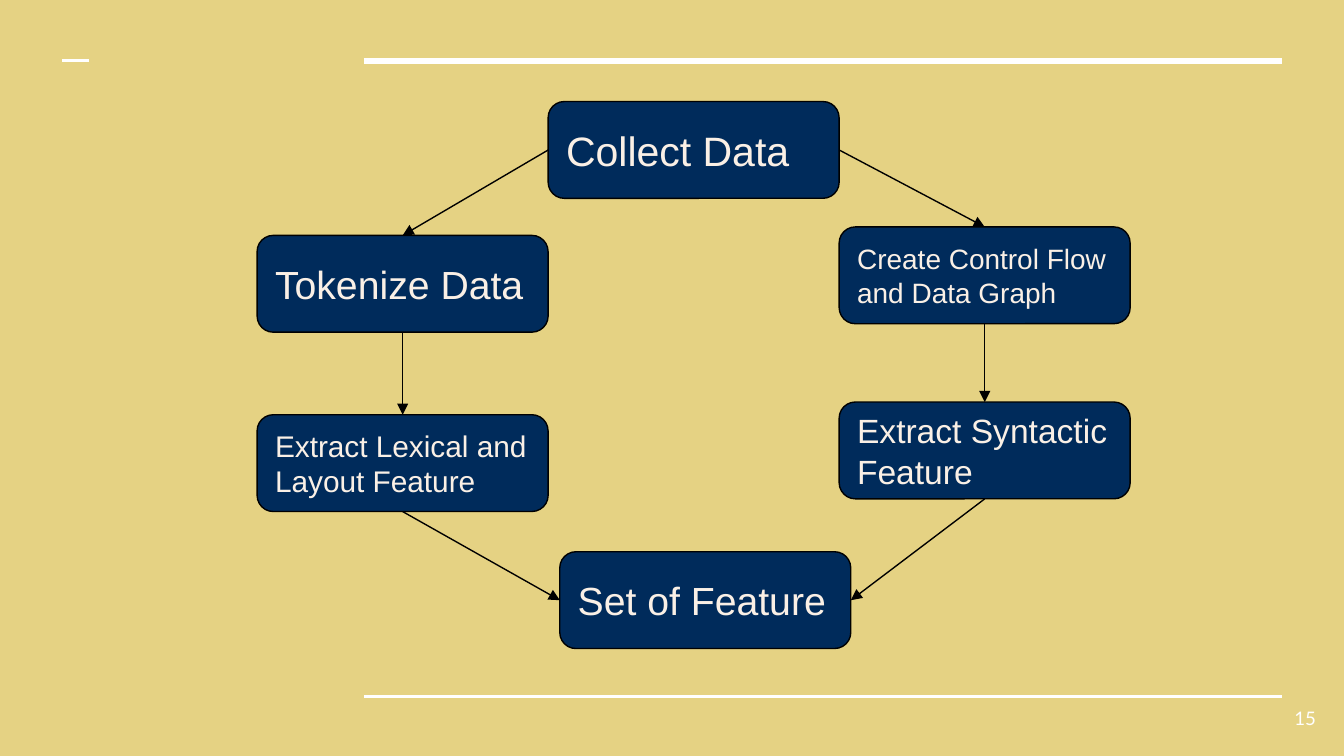
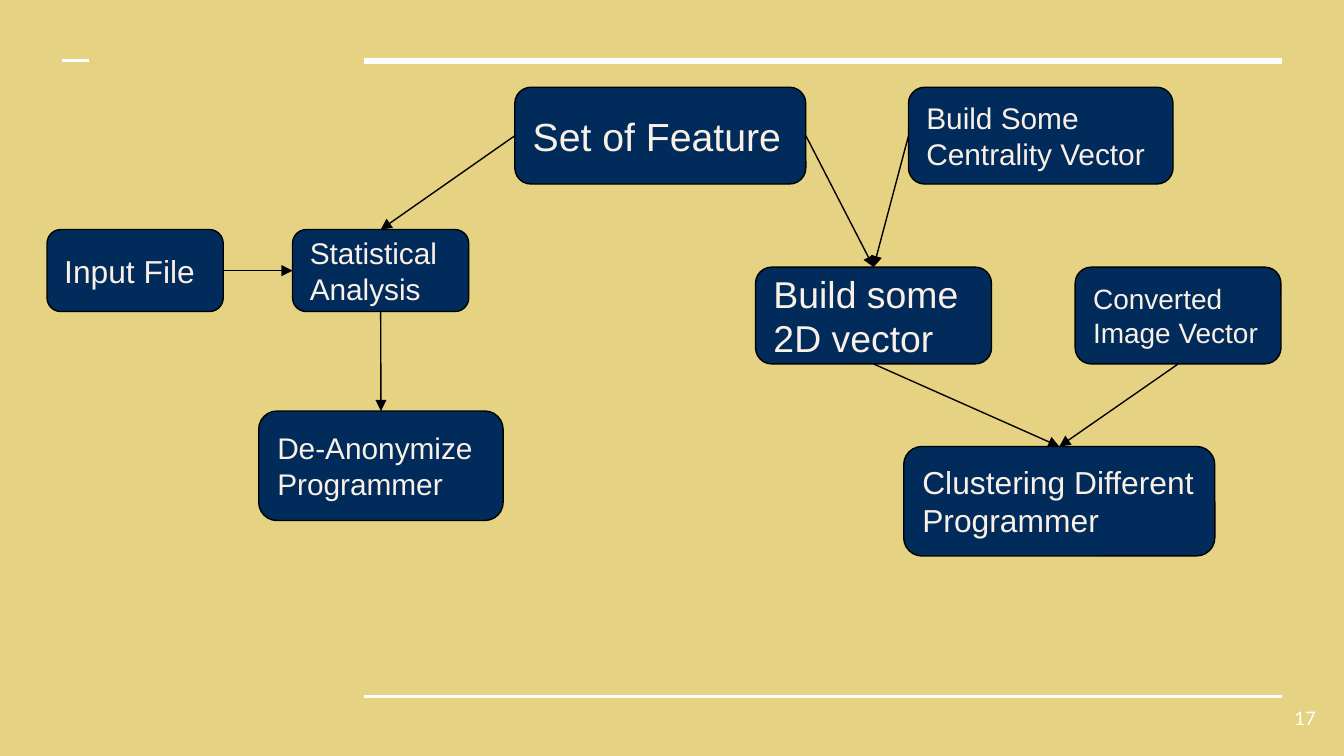
from lxml import etree
from pptx import Presentation
from pptx.dml.color import RGBColor
from pptx.enum.shapes import MSO_CONNECTOR, MSO_SHAPE
from pptx.enum.text import MSO_ANCHOR, PP_ALIGN
from pptx.oxml.ns import qn
from pptx.util import Cm, Pt

SAND = RGBColor(0xE5, 0xD2, 0x83)
NAVY = RGBColor(0x00, 0x2B, 0x5B)
LINEN = RGBColor(0xFA, 0xF0, 0xE6)
WHITE = RGBColor(0xFF, 0xFF, 0xFF)
BLACK = RGBColor(0x00, 0x00, 0x00)
STRAIGHT = MSO_CONNECTOR.STRAIGHT
ROUND = MSO_SHAPE.ROUNDED_RECTANGLE
MIDDLE = MSO_ANCHOR.MIDDLE
LEFT, RIGHT = PP_ALIGN.LEFT, PP_ALIGN.RIGHT
TOP, WEST, BOTTOM, EAST = range(4)

WIDE, HIGH = 25.4, 14.29
STEP_W, STEP_H = 5.5, 1.83
FILE_W, FILE_H = 3.33, 1.55
END_H = 2.07
EDGE = 0.75


def add_line(slide, color, width, start=(0, 0), end=(0, 0)):
    line = slide.shapes.add_connector(
        STRAIGHT, *(Cm(v) for v in (*start, *end)))
    line.line.color.rgb = color
    line.line.width = Pt(width)
    etree.SubElement(line._element.spPr, qn("a:effectLst"))
    return line


def add_text(shape, text, size, font, color, align):
    frame = shape.text_frame
    frame.word_wrap = True
    frame.vertical_anchor = MIDDLE
    frame.margin_left = frame.margin_right = Cm(0.25)
    frame.margin_top = frame.margin_bottom = Cm(0.25)
    para = frame.paragraphs[0]
    para.alignment = align
    run = para.add_run()
    run.text = text
    run.font.size = Pt(size)
    run.font.name = font
    run.font.color.rgb = color


def add_step(slide, box, text, size):
    step = slide.shapes.add_shape(ROUND, *(Cm(v) for v in box))
    step.shadow.inherit = False
    step.fill.solid()
    step.fill.fore_color.rgb = NAVY
    step.line.color.rgb = BLACK
    step.line.width = Pt(EDGE)
    add_text(step, text, size, "Arial", LINEN, LEFT)
    return step


def add_flow(slide, box, steps, links):
    left, top = box[:2]
    made = {}
    for name, (x, y, w, h, text, size) in steps.items():
        made[name] = add_step(slide, (left + x, top + y, w, h), text, size)
    for first, out, last, into in links:
        line = add_line(slide, BLACK, EDGE)
        line.begin_connect(made[first], out)
        line.end_connect(made[last], into)
        etree.SubElement(line.line._get_or_add_ln(), qn("a:tailEnd"),
                         type="triangle")


def add_frame(deck, page):
    slide = deck.slides.add_slide(deck.slide_layouts[6])
    fill = slide.background.fill
    fill.solid()
    fill.fore_color.rgb = SAND
    for x, end, y, width in ((6.88, 24.23, 1.15, 3),
                             (6.88, 24.23, 13.16, 1.5),
                             (1.18, 1.69, 1.15, 1.5)):
        add_line(slide, WHITE, width, (x, y), (end, y))
    label = slide.shapes.add_textbox(Cm(23.6), Cm(13.03), Cm(1.52), Cm(1.09))
    add_text(label, page, 10, "Lato", WHITE, RIGHT)
    return slide


def draw_features(slide, box):
    mid, far = box[2] / 3, box[2] * 2 / 3
    size = STEP_W, STEP_H
    steps = {
        "data": (mid, 0, *size, "Collect Data", 22),
        "token": (0, 2.53, *size, "Tokenize Data", 21),
        "graph": (far, 2.37, *size, "Create Control Flow and Data Graph", 15),
        "layout": (0, 5.92, *size, "Extract Lexical and Layout Feature", 16),
        "syntax": (far, 5.68, *size, "Extract Syntactic Feature", 18),
        "set": (mid + 0.22, box[3] - STEP_H, *size, "Set of Feature", 21),
    }
    links = (
        ("token", BOTTOM, "layout", TOP),
        ("graph", BOTTOM, "syntax", TOP),
        ("data", WEST, "token", TOP),
        ("data", EAST, "graph", TOP),
        ("layout", BOTTOM, "set", WEST),
        ("syntax", BOTTOM, "set", EAST),
    )
    add_flow(slide, box, steps, links)


def draw_vectors(slide, box):
    wide, high = box[2:]
    row, low = 2.69, 3.4
    file = FILE_W, FILE_H
    steps = {
        "set": (8.84, 0, STEP_W, STEP_H, "Set of Feature", 21),
        "input": (0, row, *file, "Input File", 17),
        "stats": (4.64, row, *file, "Statistical Analysis", 16),
        "center": (16.28, 0, 5, STEP_H, "Build Some Centrality Vector", 16),
        "name": (4, 6.12, 4.62, END_H, "De-Anonymize Programmer", 16),
        "image": (wide - 3.89, low, 3.89, STEP_H,
                  "Converted Image Vector", 15),
        "plane": (13.39, low, 4.46, STEP_H, "Build some 2D vector", 20),
        "group": (16.19, high - END_H, 5.88, END_H,
                  "Clustering Different Programmer", 17),
    }
    links = (
        ("set", WEST, "stats", TOP),
        ("input", EAST, "stats", WEST),
        ("stats", BOTTOM, "name", TOP),
        ("set", EAST, "plane", TOP),
        ("center", WEST, "plane", TOP),
        ("plane", BOTTOM, "group", TOP),
        ("image", BOTTOM, "group", TOP),
    )
    add_flow(slide, box, steps, links)


def main():
    deck = Presentation()
    deck.slide_width = Cm(WIDE)
    deck.slide_height = Cm(HIGH)
    draw_features(add_frame(deck, "15"), (4.86, 1.92, 16.5, 10.34))
    draw_vectors(add_frame(deck, "17"), (0.89, 1.65, 23.32, 8.86))
    deck.save("out.pptx")


if __name__ == "__main__":
    main()
